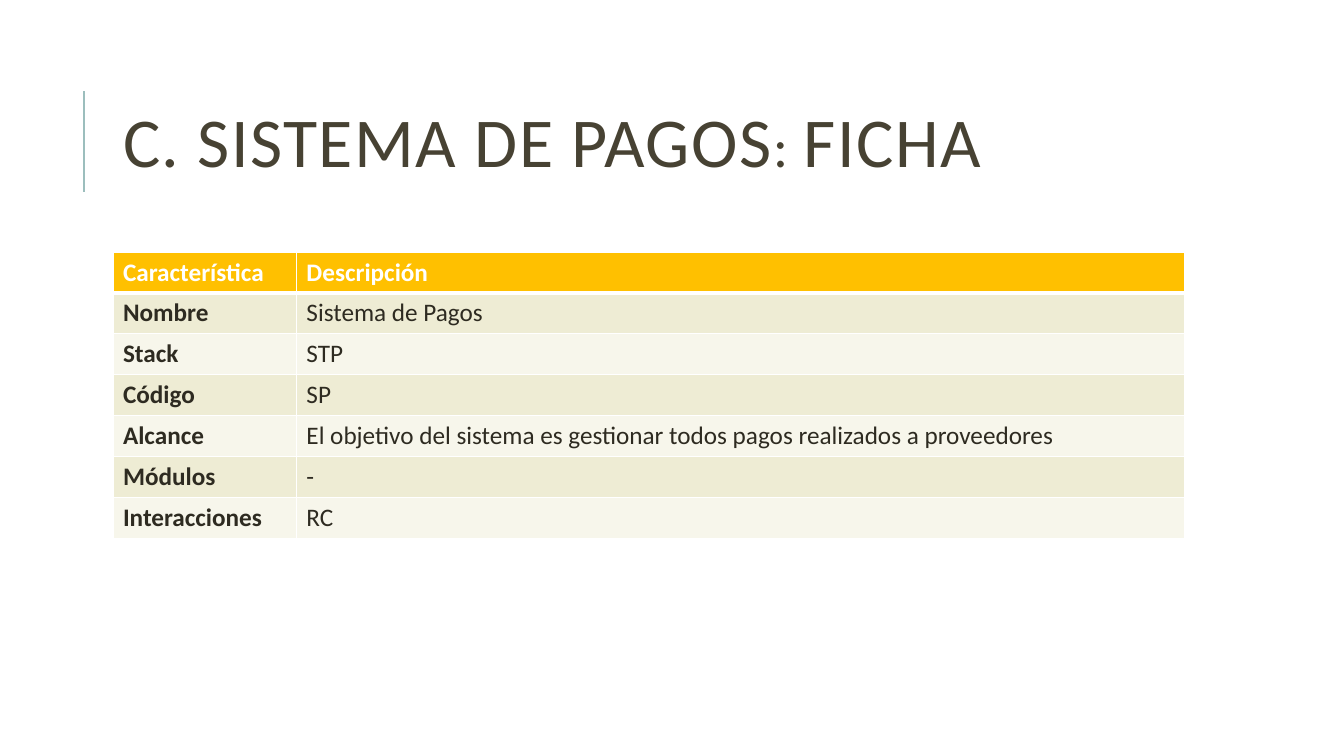
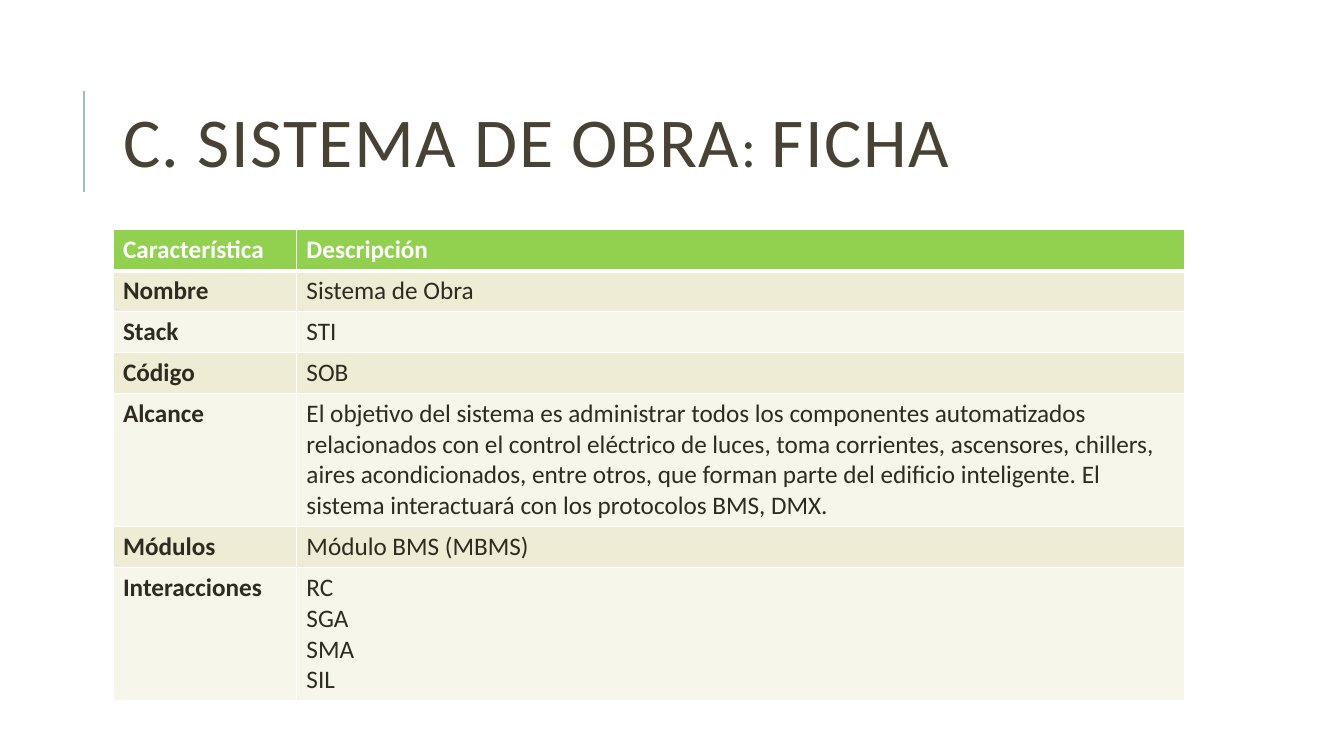
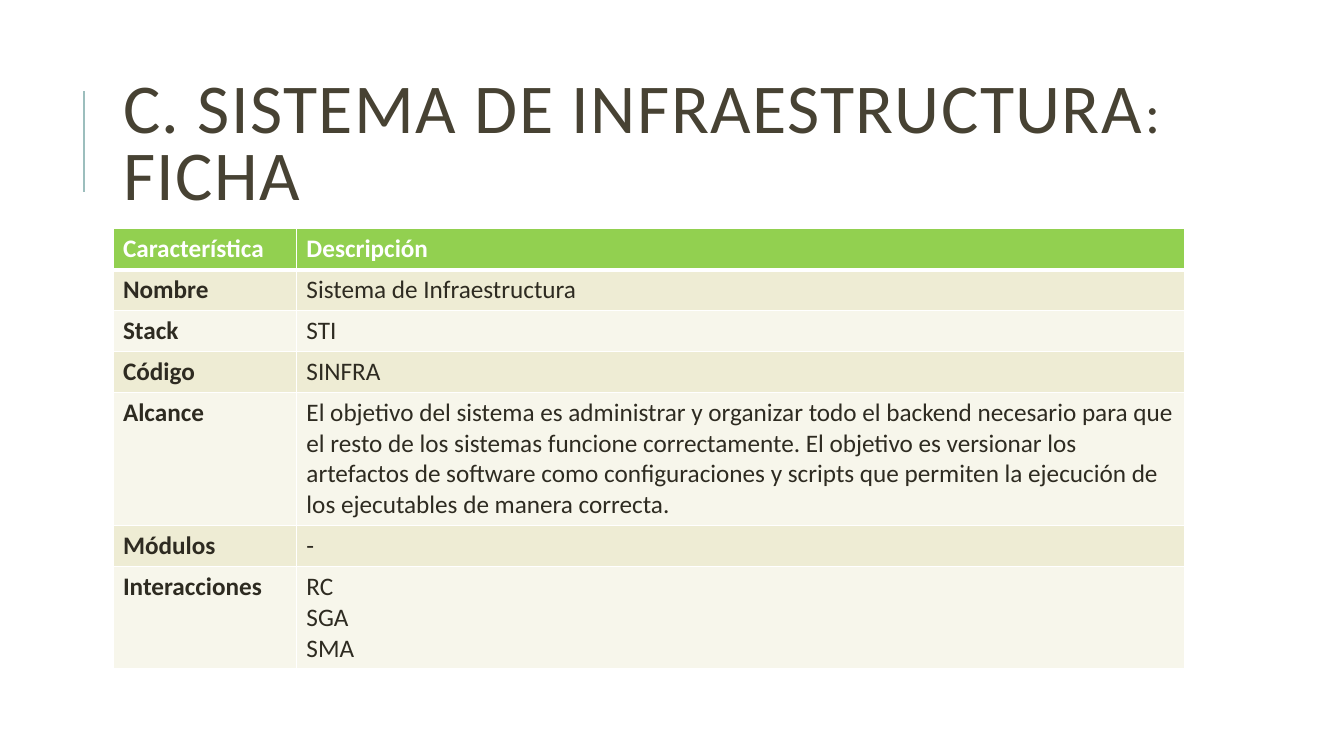
"""Builds three system data sheets, each with a title and a table."""
import math

from lxml import etree
from pptx import Presentation, util as u
from pptx.dml.color import RGBColor
from pptx.enum import shapes, text
from pptx.oxml.ns import qn

COLORS = {
    "rule": "9CBEBD", "title": "474233", "text": "2E2B21", "white": "FFFFFF",
    "odd": "EEECD4", "even": "F7F6EB", "amber": "FFC000", "green": "92D050",
}
FONT = "Calibri"
UNIT = u.Inches(0.1)
LEFT, COLUMNS = 11.2, (18.2, 88.1)
WIDTH = sum(COLUMNS)
LABELS = ("Nombre", "Stack", "Código", "Alcance", "Módulos", "Interacciones")
LINE_CHARS = 80

SHEETS = [
    ("Sistema de Pagos", "amber", 25, (
        "STP", "SP",
        "El objetivo del sistema es gestionar todos pagos realizados a proveedores",
        "-", "RC")),
    ("Sistema de Obra", "green", 22.8, (
        "STI", "SOB",
        "El objetivo del sistema es administrar todos los componentes automatizados "
        "relacionados con el control eléctrico de luces, toma corrientes, ascensores, "
        "chillers, aires acondicionados, entre otros, que forman parte del edificio "
        "inteligente. El sistema interactuará con los protocolos BMS, DMX.",
        "Módulo BMS (MBMS)", "RC\nSGA\nSMA\nSIL")),
    ("Sistema de Infraestructura", "green", 22.7, (
        "STI", "SINFRA",
        "El objetivo del sistema es administrar y organizar todo el backend necesario "
        "para que el resto de los sistemas funcione correctamente. El objetivo es "
        "versionar los artefactos de software como configuraciones y scripts que "
        "permiten la ejecución de los ejecutables de manera correcta.",
        "-", "RC\nSGA\nSMA")),
]


def grid(*units):
    return [round(n * UNIT) for n in units]


def rgb(name):
    return RGBColor.from_string(COLORS[name])


def add_run(p, words, size=18, color="text", bold=False, spacing=0):
    r = p.add_run()
    r.text = words
    r.font.name, r.font.size, r.font.bold = FONT, u.Pt(size), bold
    r.font.color.rgb = rgb(color)
    if spacing:
        r._r.get_or_add_rPr().set("spc", str(spacing * 100))


def row_height(value):
    lines = sum(math.ceil(len(part) / LINE_CHARS) for part in value.split("\n"))
    return u.Pt(7.2 + 22 * lines)


def add_borders(cell, top, bottom):
    tc_pr = cell._tc.get_or_add_tcPr()
    for side, points in (("L", 1), ("R", 1), ("T", top), ("B", bottom)):
        ln = etree.SubElement(tc_pr, qn("a:ln" + side), w=str(u.Pt(points)))
        fill = etree.SubElement(ln, qn("a:solidFill"))
        etree.SubElement(fill, qn("a:srgbClr"), val=COLORS["white"])


class Deck:
    def __init__(self):
        self.prs = Presentation()
        self.prs.slide_width, self.prs.slide_height = u.Inches(13.33), u.Inches(7.5)
        self.s = None

    def add_slide(self, name):
        self.s = self.prs.slides.add_slide(self.prs.slide_layouts[5])
        self.add_rule()
        self.add_title(name)

    def add_rule(self):
        line = self.s.shapes.add_connector(
            shapes.MSO_CONNECTOR.STRAIGHT, *grid(8.3, 19, 8.3, 9))
        line.line.color.rgb, line.line.width = rgb("rule"), u.Pt(1.5)
        etree.SubElement(line._element.spPr, qn("a:effectLst"))

    def add_title(self, name):
        sp = self.s.shapes.title
        sp.left, sp.top, sp.width, sp.height = grid(LEFT, 6.4, WIDTH, 16.4)
        tf = sp.text_frame
        tf.word_wrap, tf.auto_size = True, text.MSO_AUTO_SIZE.NONE
        tf.vertical_anchor = text.MSO_ANCHOR.MIDDLE
        p = tf.paragraphs[0]
        p.alignment, p.line_spacing = text.PP_ALIGN.LEFT, 0.8
        for words, size in ((f"C. {name.upper()}", 50), (": ", 40), ("FICHA", 50)):
            add_run(p, words, size=size, color="title", spacing=1)

    def add_table(self, top, header, rows):
        rows = [("Característica", "Descripción"), *rows]
        heights = [row_height(value) for _, value in rows]
        left, top, width = grid(LEFT, top, WIDTH)
        table = self.s.shapes.add_table(
            len(rows), len(COLUMNS), left, top, width, sum(heights)).table
        table.horz_banding = False
        for column, units in zip(table.columns, COLUMNS):
            column.width = grid(units)[0]
        for i, (row, values) in enumerate(zip(table.rows, rows)):
            row.height = heights[i]
            fill = header if i == 0 else ("even", "odd")[i % 2]
            for j, (cell, value) in enumerate(zip(row.cells, values)):
                add_borders(cell, top=3 if i == 1 else 1, bottom=3 if i == 0 else 1)
                cell.fill.solid()
                cell.fill.fore_color.rgb = rgb(fill)
                tf = cell.text_frame
                for k, words in enumerate(value.split("\n")):
                    p = tf.add_paragraph() if k else tf.paragraphs[0]
                    add_run(p, words, color="text" if i else "white",
                            bold=i == 0 or j == 0)


def main():
    deck = Deck()
    for name, header, top, details in SHEETS:
        deck.add_slide(name)
        deck.add_table(top, header, zip(LABELS, (name, *details)))
    deck.prs.save("out.pptx")


if __name__ == "__main__":
    main()
